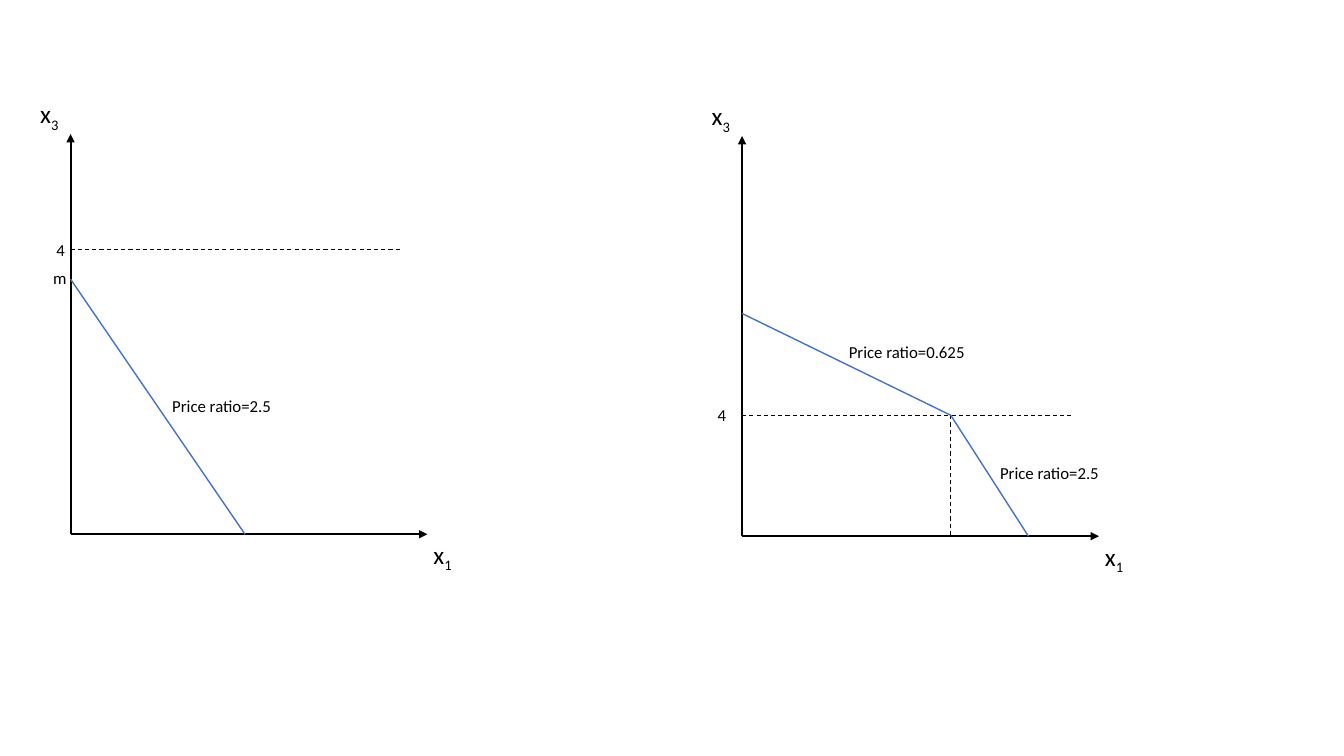
from lxml.etree import SubElement
from pptx import Presentation
from pptx.dml.color import RGBColor
from pptx.enum.dml import MSO_LINE_DASH_STYLE as Dash
from pptx.enum.shapes import MSO_CONNECTOR as Connector
from pptx.enum.text import MSO_AUTO_SIZE as AutoSize
from pptx.oxml.ns import qn
from pptx.util import Inches, Pt

BLACK = RGBColor(0, 0, 0)
BLUE = RGBColor(0x44, 0x72, 0xC4)
FONT = "Calibri"
AXIS_WIDTH, AXIS_HEIGHT = 3.54, 3.97

# Points are inches right of and above each graph's origin.
# Labels: text, left, top, box width.
GRAPHS = [
    {
        "origin": (0.7, 5.3),
        "guides": [((0, 2.82), (3.27, 2.82))],
        "budget": [(0, 2.53), (1.73, 0)],
        "labels": [
            ("4", -0.24, 2.97, 0.29),
            ("m", -0.27, 2.69, 0.34),
            ("Price ratio=2.5", 0.91, 1.42, 1.2),
        ],
    },
    {
        "origin": (7.36, 5.32),
        "guides": [((0, 1.2), (3.28, 1.2)), ((2.07, 1.2), (2.07, 0))],
        "budget": [(0, 2.21), (2.07, 1.2), (2.84, 0)],
        "labels": [
            ("4", -0.34, 1.35, 0.29),
            ("Price ratio=2.5", 2.46, 0.78, 1.2),
            ("Price ratio=0.625", 0.96, 1.98, 1.37),
        ],
    },
]
AXIS_NAMES = [("x", "1", 3.5, 0), ("x", "3", -0.4, 4.37)]


def place(origin, point):
    """Turn a point above and right of the origin into slide lengths."""
    return Inches(origin[0] + point[0]), Inches(origin[1] - point[1])


def add_line(slide, origin, start, end, color=BLACK, width=0.75, dashed=False, arrow=False):
    connector = slide.shapes.add_connector(
        Connector.STRAIGHT, *place(origin, start), *place(origin, end))
    connector.line.color.rgb = color
    connector.line.width = Pt(width)
    if dashed:
        connector.line.dash_style = Dash.DASH
    if arrow:
        SubElement(connector.line._get_or_add_ln(), qn("a:tailEnd"), type="triangle")
    SubElement(connector._element.spPr, qn("a:effectLst"))


def add_text(slide, origin, text, left, top, width, height=0.3, size=12, subscript=""):
    box = slide.shapes.add_textbox(
        *place(origin, (left, top)), Inches(width), Inches(height))
    frame = box.text_frame
    frame.word_wrap = False
    frame.auto_size = AutoSize.SHAPE_TO_FIT_TEXT
    paragraph = frame.paragraphs[0]
    for part in filter(None, (text, subscript)):
        run = paragraph.add_run()
        run.text = part
        run.font.name = FONT
        run.font.size = Pt(size)
        run.font.color.rgb = BLACK
    if subscript:
        run._r.get_or_add_rPr().set("baseline", "-25000")


def add_graph(slide, graph):
    origin = graph["origin"]
    for axis_end in ((0, AXIS_HEIGHT), (AXIS_WIDTH, 0)):
        add_line(slide, origin, (0, 0), axis_end, width=1.5, arrow=True)
    for name, index, left, top in AXIS_NAMES:
        add_text(slide, origin, name, left, top, 0.4, height=0.4, size=18, subscript=index)
    for start, end in graph["guides"]:
        add_line(slide, origin, start, end, dashed=True)
    budget = graph["budget"]
    for start, end in zip(budget, budget[1:]):
        add_line(slide, origin, start, end, color=BLUE, width=1)
    for label in graph["labels"]:
        add_text(slide, origin, *label)


def main():
    presentation = Presentation()
    presentation.slide_width = Inches(13.33)
    presentation.slide_height = Inches(7.5)
    slide = presentation.slides.add_slide(presentation.slide_layouts[6])
    for graph in GRAPHS:
        add_graph(slide, graph)
    presentation.save("out.pptx")


if __name__ == "__main__":
    main()
